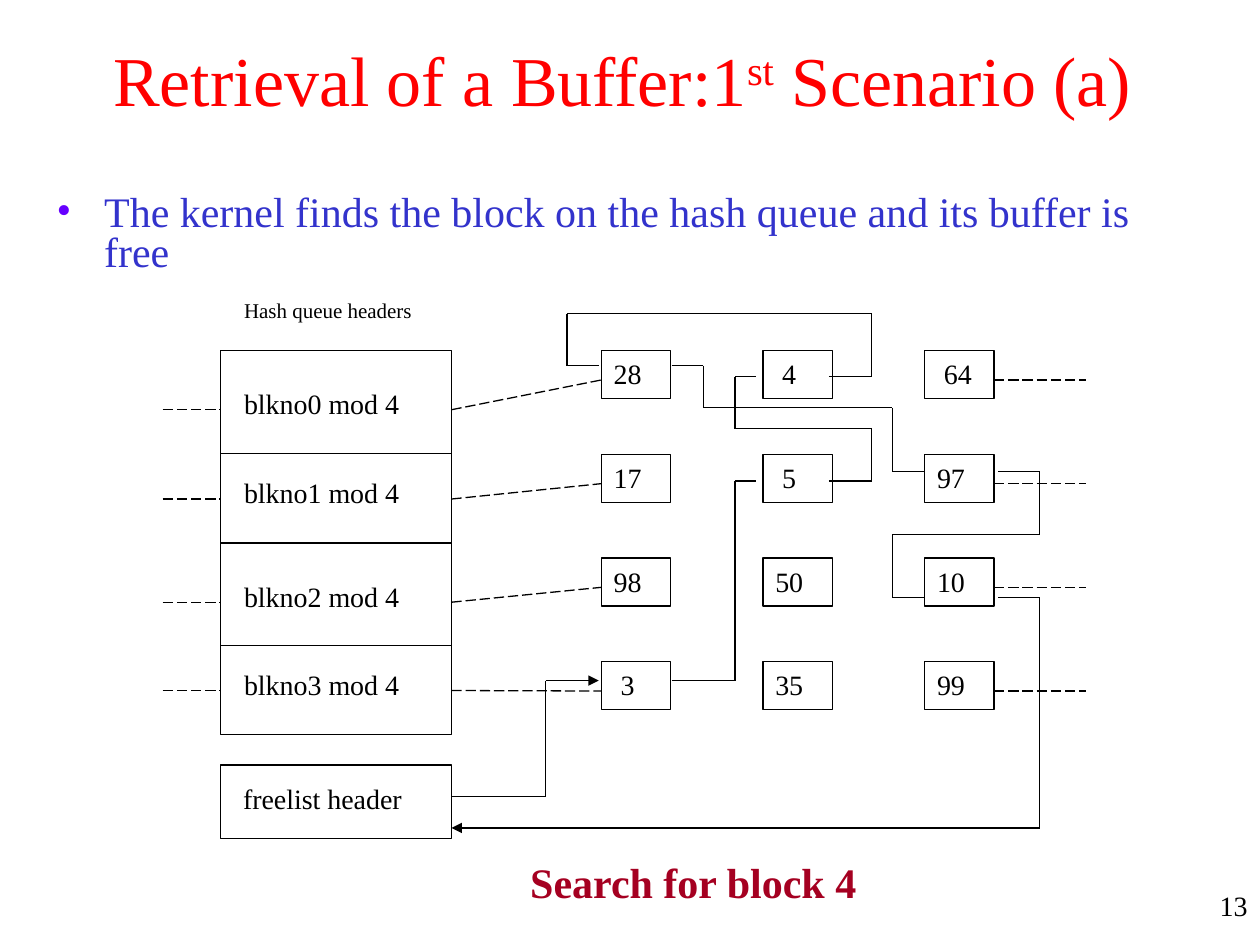
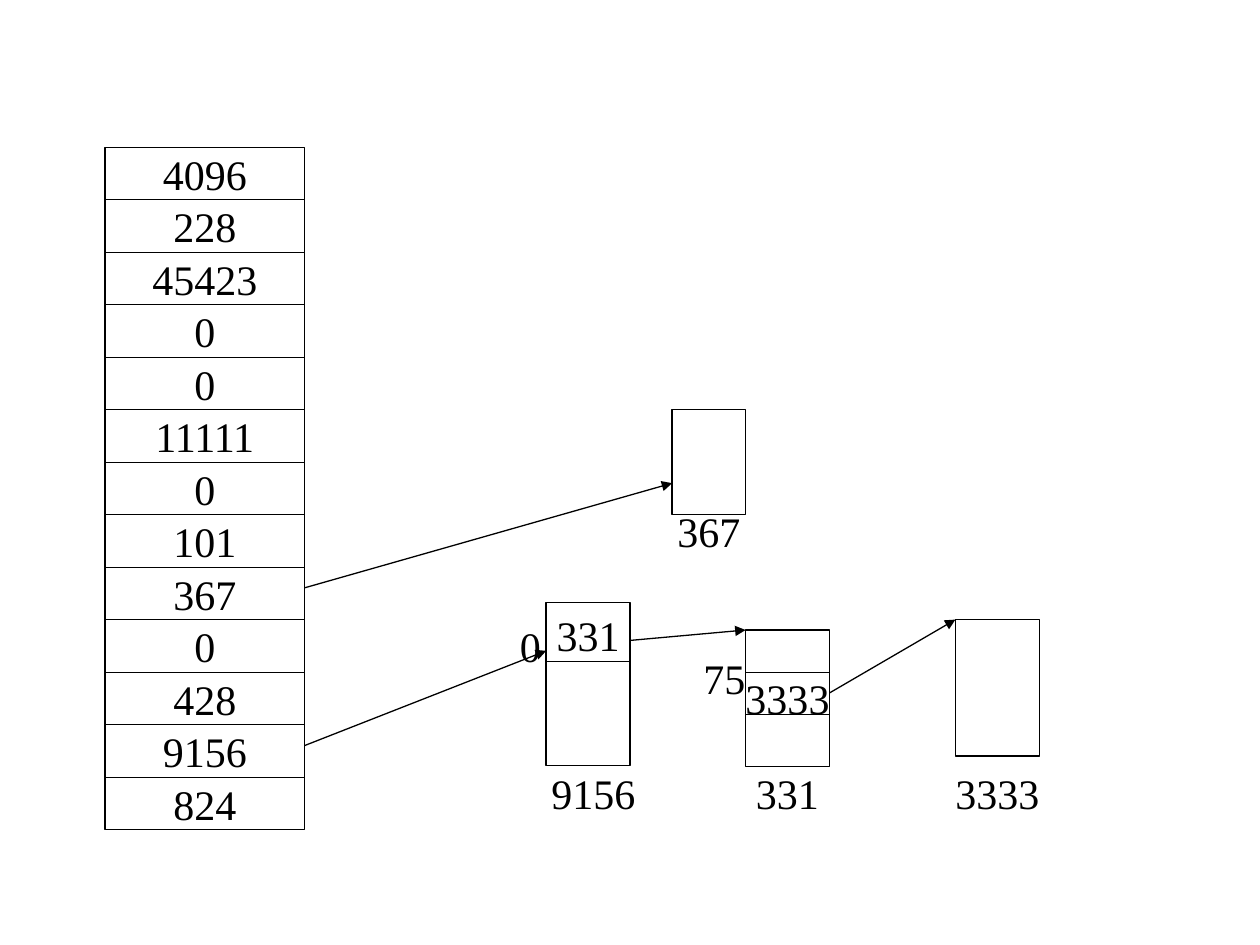
from dataclasses import dataclass
from itertools import pairwise

from lxml import etree
from pptx import Presentation
from pptx.dml.color import RGBColor
from pptx.enum.dml import MSO_LINE
from pptx.enum.shapes import MSO_CONNECTOR, MSO_SHAPE
from pptx.enum.text import MSO_ANCHOR, PP_ALIGN
from pptx.oxml.ns import qn
from pptx.util import Cm, Pt

RECT = MSO_SHAPE.RECTANGLE
STRAIGHT = MSO_CONNECTOR.STRAIGHT
LONG_DASH = MSO_LINE.LONG_DASH
TOP, MIDDLE = MSO_ANCHOR.TOP, MSO_ANCHOR.MIDDLE
LEFT, CENTER, RIGHT = PP_ALIGN.LEFT, PP_ALIGN.CENTER, PP_ALIGN.RIGHT
TITLE_ONLY, BLANK = 5, 6


@dataclass(frozen=True)
class Theme:
    font: str = "Times New Roman"
    ink: str = "000000"
    title: str = "FF0000"
    body: str = "3333CC"
    bullet: str = "6600FF"
    accent: str = "A50021"
    title_size: int = 40
    body_size: int = 24
    label_size: int = 16
    small_size: int = 12
    line_width: float = 0.75


THEME = Theme()


def add_run(p, text, size, color=THEME.ink, bold=False):
    r = p.add_run()
    r.text = text
    r.font.name = THEME.font
    r.font.size = Pt(size)
    r.font.bold = bold
    r.font.color.rgb = RGBColor.from_string(color)
    return r


@dataclass
class Region:
    """Draws on a slide, in centimetres from its own corner."""
    slide: object
    left: float = 0
    top: float = 0

    def place(self, x, y):
        return Cm(self.left + x), Cm(self.top + y)

    def rect(self, x, y, w, h):
        sp = self.slide.shapes.add_shape(RECT, *self.place(x, y), Cm(w), Cm(h))
        sp.shadow.inherit = False
        sp.fill.background()
        sp.line.color.rgb = RGBColor.from_string(THEME.ink)
        sp.line.width = Pt(THEME.line_width)
        return sp

    def textbox(self, x, y, w, h):
        return self.slide.shapes.add_textbox(*self.place(x, y), Cm(w), Cm(h))

    def label(self, x, y, w, h, text, size=THEME.label_size, **style):
        return write(self.textbox(x, y, w, h), text, size, **style)

    def centered_label(self, x, y, w, h, text, slack=0.1):
        """Centres a number on the given box, with a little slack at each side."""
        write_centered(self.textbox(x - slack, y, w + 2 * slack, h), text)

    def line(self, start, end, dashed=False, arrow=False):
        cx = self.slide.shapes.add_connector(
            STRAIGHT, *self.place(*start), *self.place(*end))
        cx.line.color.rgb = RGBColor.from_string(THEME.ink)
        cx.line.width = Pt(THEME.line_width)
        if dashed:
            cx.line.dash_style = LONG_DASH
        if arrow:
            etree.SubElement(cx.line._get_or_add_ln(), qn("a:tailEnd"), type="triangle")
        etree.SubElement(cx._element.spPr, qn("a:effectLst"))

    def route(self, points, arrow=False):
        legs = list(pairwise(points))
        for i, (start, end) in enumerate(legs, 1):
            self.line(start, end, arrow=arrow and i == len(legs))


def write(sp, text, size, color=THEME.ink, bold=False,
          align=LEFT, anchor=TOP, wrap=True):
    tf = sp.text_frame
    tf.word_wrap = wrap
    tf.vertical_anchor = anchor
    p = tf.paragraphs[0]
    p.alignment = align
    add_run(p, text, size, color, bold)
    return p


def write_centered(sp, text):
    write(sp, text, THEME.body_size, align=CENTER, anchor=MIDDLE, wrap=False)
    tf = sp.text_frame
    tf.margin_left = tf.margin_right = tf.margin_top = tf.margin_bottom = 0


# Slide 1: heading, bullet and page number
def add_title(slide, left, top, width, height):
    sp = slide.shapes.title
    sp.left, sp.top, sp.width, sp.height = Cm(left), Cm(top), Cm(width), Cm(height)
    p = write(sp, "Retrieval of a Buffer:1", THEME.title_size, THEME.title,
              align=CENTER, anchor=MIDDLE)
    r = add_run(p, "st", THEME.title_size, THEME.title)
    r.font._element.set("baseline", "30000")
    add_run(p, " Scenario (a)", THEME.title_size, THEME.title)


def add_bullet(slide, left, top, width, height):
    p = write(Region(slide).textbox(left, top, width, height),
              "The kernel finds the block on the hash queue and its buffer is free",
              THEME.body_size, THEME.body)
    pPr = p._p.get_or_add_pPr()
    pPr.set("marL", str(Cm(0.96)))
    pPr.set("indent", str(-Cm(0.96)))
    color = etree.SubElement(pPr, qn("a:buClr"))
    etree.SubElement(color, qn("a:srgbClr"), val=THEME.bullet)
    etree.SubElement(pPr, qn("a:buFont"), typeface=THEME.font)
    etree.SubElement(pPr, qn("a:buChar"), char="•")
    p.line_spacing = 0.8


# Slide 1: hash queues with the free list threaded through them
BUFFERS = [["28", " 4", " 64"],
           ["17", " 5", "97"],
           ["98", "50", "10"],
           [" 3", "35", "99"]]
HEADER_X, HEADER_W = 1.17, 4.65
HEADER_RIGHT = HEADER_X + HEADER_W
ROW_EDGES = [1.19, 3.27, 5.08, 7.14, 8.94]
QUEUE_Y = [2.39, 4.19, 6.27, 8.05]
BUFFER_X, BUFFER_Y, BUFFER_W, BUFFER_H = 8.84, 1.2, 1.4, 0.97
COLUMN_STEP, ROW_STEP = 3.26, 2.09

FREELIST_START = [(HEADER_RIGHT, 10.18), (7.72, 10.18), (7.72, 7.85), (8.79, 7.85)]
FREELIST_LINKS = [
    # 3 to 5, 5 to 4, 4 to 28
    [(10.26, 7.85), (11.54, 7.85), (11.54, 3.83), (11.96, 3.83)],
    [(13.43, 3.83), (14.29, 3.83), (14.29, 2.77), (11.54, 2.77),
     (11.54, 1.72), (11.96, 1.72)],
    [(13.43, 1.72), (14.29, 1.72), (14.29, 0.45), (8.15, 0.45),
     (8.15, 1.5), (8.79, 1.5)],
    # 28 to 97, 97 to 10
    [(10.26, 1.5), (10.9, 1.5), (10.9, 2.35), (14.71, 2.35),
     (14.71, 3.63), (15.34, 3.63)],
    [(16.84, 3.63), (17.68, 3.63), (17.68, 4.9), (14.71, 4.9),
     (14.71, 6.17), (15.34, 6.17)],
]
FREELIST_END = [(16.84, 6.17), (17.68, 6.17), (17.68, 10.82), (HEADER_RIGHT, 10.82)]


def add_hash_queues(slide, left, top):
    area = Region(slide, left, top)

    # Queue headers
    area.label(1.39, 0, 4.2, 0.76, "Hash queue headers", THEME.small_size)
    area.rect(HEADER_X, ROW_EDGES[0], HEADER_W, ROW_EDGES[-1] - ROW_EDGES[0])
    for y in ROW_EDGES[1:-1]:
        area.line((HEADER_X, y), (HEADER_RIGHT, y))

    # Queues: header label, buffers and dashed links
    for row, (names, y) in enumerate(zip(BUFFERS, QUEUE_Y)):
        area.label(1.39, y - 0.59, 4.11, 0.94, f"blkno{row} mod 4")
        for col, name in enumerate(names):
            sp = area.rect(BUFFER_X + col * COLUMN_STEP,
                           BUFFER_Y + row * ROW_STEP, BUFFER_W, BUFFER_H)
            write(sp, name, THEME.label_size)
        link_y = BUFFER_Y + row * ROW_STEP + 0.59
        last_right = BUFFER_X + 2 * COLUMN_STEP + BUFFER_W
        area.line((0, y), (HEADER_X, y), dashed=True)
        area.line((HEADER_RIGHT, y), (BUFFER_X, link_y), dashed=True)
        area.line((last_right, link_y), (last_right + 1.85, link_y), dashed=True)

    # Free list
    area.rect(HEADER_X, 9.55, HEADER_W, 1.48)
    area.label(1.37, 9.76, 4.11, 0.94, "freelist header")
    area.route(FREELIST_START, arrow=True)
    for link in FREELIST_LINKS:
        area.route(link)
    area.route(FREELIST_END, arrow=True)


def build_retrieval_slide(prs):
    slide = prs.slides.add_slide(prs.slide_layouts[TITLE_ONLY])
    add_title(slide, 1.75, 0, 21.59, 3.18)
    add_bullet(slide, 0.89, 3.81, 23.65, 1.8)
    add_hash_queues(slide, 3.28, 5.87)
    page = Region(slide)
    page.label(10.44, 17.15, 7.4, 1.27, "Search for block 4", THEME.body_size,
               color=THEME.accent, bold=True)
    page.label(24.21, 17.78, 1.19, 1.27, "13", align=RIGHT)


# Slide 2: table of block addresses and the blocks they lead to
ADDRESSES = ["4096", "228", "45423", "0", "0", "11111", "0",
             "101", "367", "0", "428", "9156", "824"]


def add_address_table(slide, left, top, width, height):
    area = Region(slide, left, top)
    row_h = height / len(ADDRESSES)
    for i, address in enumerate(ADDRESSES):
        write_centered(area.rect(0, i * row_h, width, row_h), address)


def add_block(slide, left, top, width, height, dividers=(), entry=None):
    """Draws a block; entry is (text, top, height) inside it."""
    area = Region(slide, left, top)
    area.rect(0, 0, width, height)
    for y in dividers:
        area.line((0, y), (width, y))
    if entry:
        text, y, h = entry
        area.centered_label(0, y, width, h, text)


def build_block_address_slide(prs):
    slide = prs.slides.add_slide(prs.slide_layouts[BLANK])
    page = Region(slide)
    add_address_table(slide, 2.12, 2.97, 4.02, 13.76)

    # Blocks
    add_block(slide, 13.55, 8.26, 1.48, 2.12)
    add_block(slide, 11.01, 12.14, 1.69, 3.3, [1.2], ("331", 0, 1.32))
    add_block(slide, 15.03, 12.7, 1.69, 2.75, [0.85, 1.7], ("3333", 0.85, 1.05))
    add_block(slide, 19.26, 12.49, 1.69, 2.75)

    # Block numbers and entry indexes
    for text, x, y, w in [("367", 13.55, 10.37, 1.48), ("9156", 11.01, 15.67, 1.9),
                          ("331", 15.24, 15.67, 1.27), ("3333", 19.26, 15.67, 1.69),
                          ("0", 10.37, 12.7, 0.64), ("75", 14.18, 13.34, 0.85)]:
        page.centered_label(x, y, w, 0.64, text)

    # Pointers
    for start, end in [((6.14, 11.85), (13.55, 9.74)),
                       ((6.14, 15.03), (11.01, 13.12)),
                       ((12.7, 12.91), (15.03, 12.7)),
                       ((16.72, 13.97), (19.26, 12.49))]:
        page.line(start, end, arrow=True)


def main():
    prs = Presentation()
    prs.slide_width, prs.slide_height = Cm(25.4), Cm(19.05)
    build_retrieval_slide(prs)
    build_block_address_slide(prs)
    prs.save("out.pptx")


if __name__ == "__main__":
    main()
